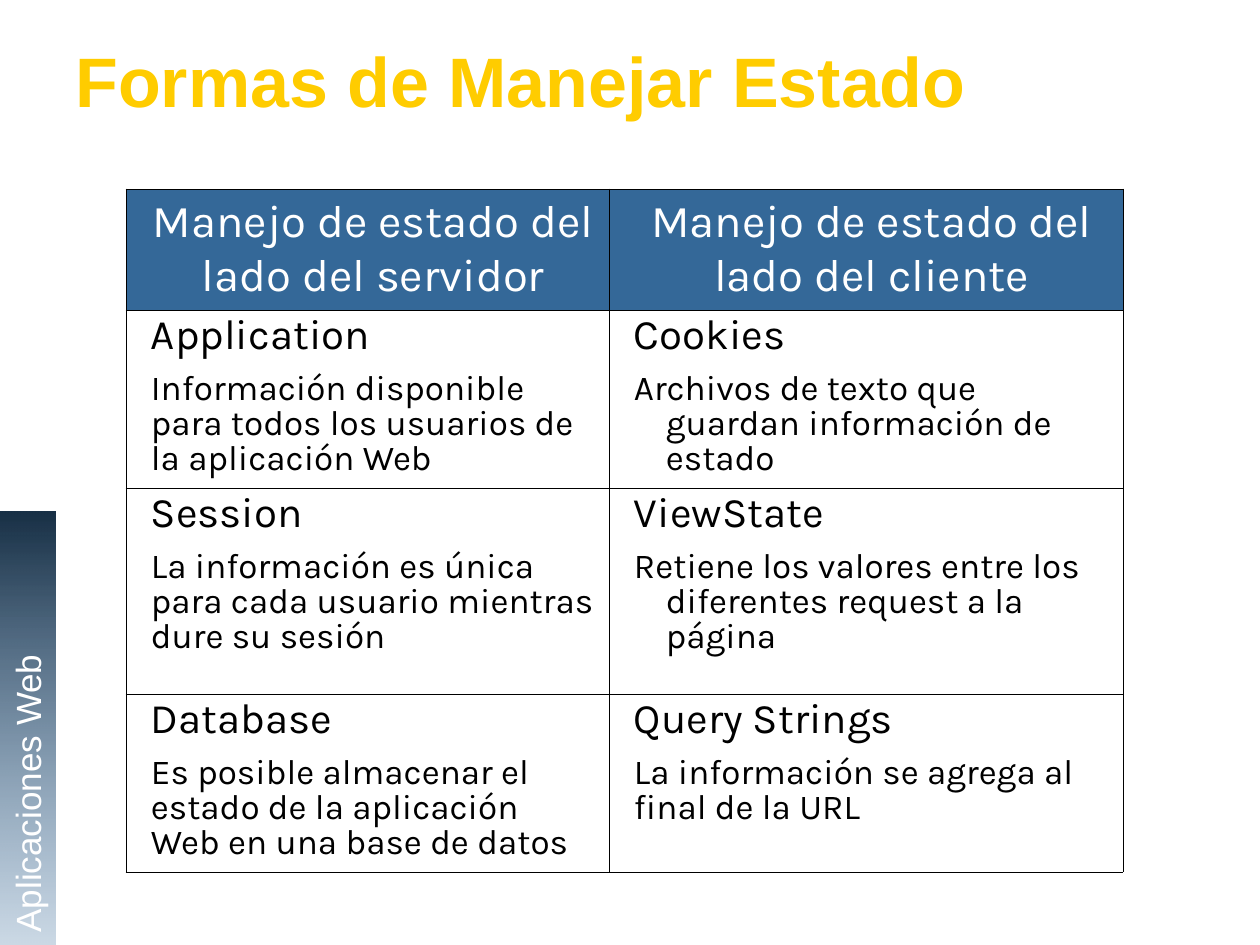
"""Build the slide on ways of managing state in a web application."""
from lxml import etree
from pptx import Presentation
from pptx import util as u
from pptx.dml.color import RGBColor
from pptx.enum import shapes, text
from pptx.oxml import parse_xml
from pptx.oxml.ns import qn

NS = 'xmlns:a="http://schemas.openxmlformats.org/drawingml/2006/main"'
HEADS = ["Manejo de estado del lado del servidor",
         "Manejo de estado del lado del cliente"]
ROWS = [
    [("Application", "Información disponible para todos los usuarios de la aplicación Web", 0),
     ("Cookies", "Archivos de texto que guardan información de estado", 32)],
    [("Session", "La información es única para cada usuario mientras dure su sesión", 0),
     ("ViewState", "Retiene los valores entre los diferentes request a la página", 32)],
    [("Database", "Es posible almacenar el estado de la aplicación Web en una base de datos", 0),
     ("Query Strings", "La información se agrega al final de la URL", 0)],
]


def px(n):
    """Turn slide pixels into EMU."""
    return u.Emu(round(n * 914400 / 126))


def hue(code):
    """Turn a hex string into a colour."""
    return RGBColor.from_string(code)


def style(para, size, face, color, bold=False):
    """Set the font of a paragraph."""
    font = para.font
    font.size, font.name, font.bold = u.Pt(size), face, bold
    font.color.rgb = hue(color)


def add_title(slide, words):
    """Fill and place the title, with a text shadow."""
    title = slide.shapes.title
    title.left, title.top, title.width, title.height = map(px, (63, 26, 1182, 107))
    frame = title.text_frame
    frame.text = words
    frame.vertical_anchor = text.MSO_ANCHOR.MIDDLE
    para = frame.paragraphs[0]
    para.alignment = text.PP_ALIGN.LEFT
    style(para, 40, "Arial", "FFCC00", True)
    mark = para.runs[0]._r.get_or_add_rPr()
    mark.append(parse_xml(
        f'<a:effectLst {NS}><a:outerShdw dist="35921" dir="2700000">'
        '<a:srgbClr val="000000"/></a:outerShdw></a:effectLst>'))


def add_band(slide, words):
    """Add the turned side band that fades downwards."""
    band = slide.shapes.add_shape(
        shapes.MSO_SHAPE.RECTANGLE, *map(px, (-189, 701, 433, 55)))
    band.rotation = 270
    band.shadow.inherit = False
    band.line.fill.background()
    band.fill.gradient()
    band.fill.gradient_angle = 270
    for stop, color in zip(band.fill.gradient_stops, ("183046", "346898")):
        stop.color.rgb = hue(color)
    grad = band._element.spPr.find(qn("a:gradFill"))
    grad.set("rotWithShape", "0")
    last = grad.findall(".//" + qn("a:srgbClr"))[-1]
    etree.SubElement(last, qn("a:alpha")).set("val", "25000")
    frame = band.text_frame
    frame.text = words
    frame.vertical_anchor = text.MSO_ANCHOR.TOP
    para = frame.paragraphs[0]
    para.alignment = text.PP_ALIGN.LEFT
    style(para, 20, "Arial", "FFFFFF")


def dress(cell, color):
    """Give a cell its margins, thin black borders and fill."""
    cell.margin_left, cell.margin_right = px(25), px(13)
    cell.margin_top = cell.margin_bottom = px(6)
    props = cell._tc.get_or_add_tcPr()
    for side in "LRTB":
        props.append(parse_xml(
            f'<a:ln{side} {NS} w="5715"><a:solidFill><a:srgbClr val="000000"/>'
            f'</a:solidFill></a:ln{side}>'))
    cell.fill.solid()
    cell.fill.fore_color.rgb = hue(color)


def fill_head(cell, words):
    """Write a column heading."""
    dress(cell, "346898")
    cell.text = words
    cell.vertical_anchor = text.MSO_ANCHOR.MIDDLE
    para = cell.text_frame.paragraphs[0]
    para.alignment = text.PP_ALIGN.CENTER
    style(para, 26, "Karla", "FFFFFF")


def fill_cell(cell, name, note, hang):
    """Write a method name and its note, with a hanging indent."""
    dress(cell, "FFFFFF")
    cell.text = f"{name}\n{note}"
    paras = cell.text_frame.paragraphs
    for para, size in zip(paras, (24, 20)):
        para.line_spacing = 0.85
        props = para._p.get_or_add_pPr()
        props.set("marL", str(px(hang)))
        props.set("indent", str(-px(hang)))
        style(para, size, "Karla", "000000")
    paras[1].space_before = u.Pt(8.8)


def add_grid(slide):
    """Add the table of server and client methods."""
    wide, high = (483, 514), (121, 178, 206, 178)
    grid = slide.shapes.add_table(
        len(high), len(wide), px(126), px(189), px(sum(wide)), px(sum(high))).table
    grid.first_row = grid.horz_banding = False
    for col, size in zip(grid.columns, wide):
        col.width = px(size)
    for row, size in zip(grid.rows, high):
        row.height = px(size)
    for c, words in enumerate(HEADS):
        fill_head(grid.cell(0, c), words)
    for r, row in enumerate(ROWS, 1):
        for c, entry in enumerate(row):
            fill_cell(grid.cell(r, c), *entry)


def main():
    """Build and save the slide."""
    deck = Presentation()
    deck.slide_width, deck.slide_height = px(1260), px(945)
    slide = deck.slides.add_slide(deck.slide_layouts[5])
    add_title(slide, "Formas de Manejar Estado")
    add_band(slide, "Aplicaciones Web")
    add_grid(slide)
    deck.save("out.pptx")


if __name__ == "__main__":
    main()
